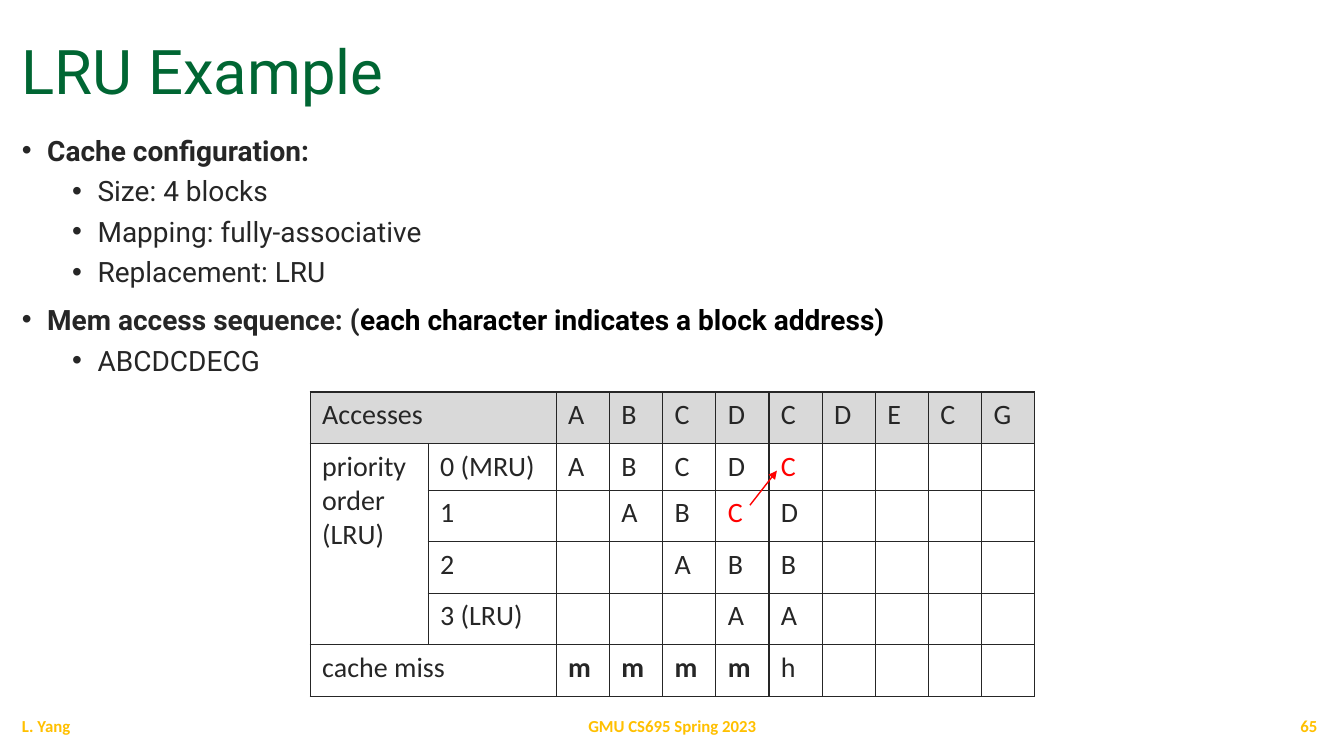
from dataclasses import dataclass

from lxml.etree import SubElement
from pptx import Presentation
from pptx.dml.color import RGBColor
from pptx.enum.shapes import MSO_CONNECTOR
from pptx.enum.text import MSO_ANCHOR, PP_ALIGN
from pptx.oxml import parse_xml
from pptx.oxml.ns import nsdecls, qn
from pptx.slide import Slide
from pptx.table import _Cell
from pptx.text.text import TextFrame, _Paragraph
from pptx.util import Cm, Pt

COLORS = {
    "title": "006633",
    "text": "262626",
    "emphasis": "000000",
    "footer": "FFC000",
    "header": "D9D9D9",
    "highlight": "FF0000",
}


@dataclass(frozen=True)
class Style:
    font: str
    size: float
    color: str
    bold: bool = False


@dataclass(frozen=True)
class Bullet:
    level: int
    runs: tuple[tuple[str, Style], ...]


@dataclass(frozen=True)
class Label:
    text: str
    left: float
    width: float
    alignment: PP_ALIGN


TITLE = Style("Roboto", 44, "title")
HEADING = Style("Roboto", 20, "text", True)
HEADING_NOTE = Style("Roboto", 20, "emphasis", True)
DETAIL = Style("Roboto", 20, "text")
FOOTER = Style("Calibri", 12, "footer", True)
CELL = Style("Calibri", 20, "text")
CELL_MISS = Style("Calibri", 20, "text", True)
CELL_HIT = Style("Calibri", 20, "highlight")

BULLETS = [
    Bullet(0, (("Cache configuration:", HEADING),)),
    Bullet(1, (("Size: 4 blocks", DETAIL),)),
    Bullet(1, (("Mapping: fully-associative", DETAIL),)),
    Bullet(1, (("Replacement: LRU", DETAIL),)),
    Bullet(0, (("Mem access sequence: (", HEADING),
               ("each character indicates a block address)", HEADING_NOTE))),
    Bullet(1, (("ABCDCDECG", DETAIL),)),
]
FOOTERS = [
    Label("L. Yang", 0.3, 7.62, PP_ALIGN.LEFT),
    Label("GMU CS695 Spring 2023", 11.23, 11.43, PP_ALIGN.CENTER),
    Label("65", 25.83, 7.62, PP_ALIGN.RIGHT),
]
ACCESS_ROWS = [
    ["Accesses", "", *"ABCDCDECG"],
    ["priority order\n(LRU)", "0 (MRU)", *"ABCDC"],
    ["", "1", "", *"ABCD"],
    ["", "2", "", "", *"ABB"],
    ["", "3 (LRU)", "", "", "", *"AA"],
    ["cache miss", "", *"mmmmh"],
]
COLUMN_WIDTHS = [2.97, 3.23] + [1.34] * 9
ROW_HEIGHTS = [1.3, 1.17] + [1.3] * 4
MERGES = [((0, 0), (0, 1)), ((1, 0), (4, 0)), ((5, 0), (5, 1))]
HIT_CELLS = {(1, 6), (2, 5)}


def add_run(paragraph: _Paragraph, text: str, style: Style) -> None:
    run = paragraph.add_run()
    run.text = text
    run.font.name = style.font
    run.font.size = Pt(style.size)
    run.font.bold = style.bold
    run.font.color.rgb = RGBColor.from_string(COLORS[style.color])


def next_paragraph(frame: TextFrame, index: int) -> _Paragraph:
    return frame.add_paragraph() if index else frame.paragraphs[0]


def add_box(slide: Slide, left: float, top: float, width: float, height: float,
            anchor: MSO_ANCHOR) -> TextFrame:
    frame = slide.shapes.add_textbox(Cm(left), Cm(top), Cm(width), Cm(height)).text_frame
    frame.word_wrap = True
    frame.vertical_anchor = anchor
    return frame


def add_title(slide: Slide) -> None:
    paragraph = add_box(slide, 0.3, 0.43, 33.15, 2.41, MSO_ANCHOR.BOTTOM).paragraphs[0]
    paragraph.line_spacing = 0.9
    add_run(paragraph, "LRU Example", TITLE)


def add_bullets(slide: Slide) -> None:
    frame = add_box(slide, 0.3, 3.23, 33.15, 14.3, MSO_ANCHOR.TOP)
    for index, bullet in enumerate(BULLETS):
        paragraph = next_paragraph(frame, index)
        paragraph.level = bullet.level
        if index:
            paragraph.space_before = Pt(5 if bullet.level else 10)
        properties = paragraph._p.get_or_add_pPr()
        properties.set("marL", str(Cm(0.64 + 1.27 * bullet.level)))
        properties.set("indent", str(-Cm(0.64)))
        SubElement(properties, qn("a:buFont")).set("typeface", "Arial")
        SubElement(properties, qn("a:buChar")).set("char", "•")
        for text, style in bullet.runs:
            add_run(paragraph, text, style)


def add_footer(slide: Slide, label: Label) -> None:
    frame = add_box(slide, label.left, 17.78, label.width, 1.02, MSO_ANCHOR.MIDDLE)
    frame.paragraphs[0].alignment = label.alignment
    add_run(frame.paragraphs[0], label.text, FOOTER)


def add_borders(cell: _Cell) -> None:
    properties = cell._tc.get_or_add_tcPr()
    for index, side in enumerate(("lnL", "lnR", "lnT", "lnB")):
        properties.insert(index, parse_xml(
            f'<a:{side} {nsdecls("a")} w="{Pt(1)}"><a:solidFill>'
            f'<a:srgbClr val="{COLORS["text"]}"/></a:solidFill></a:{side}>'))


def cell_style(row: int, column: int, text: str) -> Style:
    if (row, column) in HIT_CELLS:
        return CELL_HIT
    return CELL_MISS if text == "m" else CELL


def add_access_table(slide: Slide) -> None:
    table = slide.shapes.add_table(
        len(ROW_HEIGHTS), len(COLUMN_WIDTHS), Cm(7.82), Cm(9.88),
        Cm(sum(COLUMN_WIDTHS)), Cm(sum(ROW_HEIGHTS))).table
    table.first_row = False
    table.horz_banding = False
    for column, width in zip(table.columns, COLUMN_WIDTHS):
        column.width = Cm(width)
    for row, height in zip(table.rows, ROW_HEIGHTS):
        row.height = Cm(height)
    for row in range(len(ROW_HEIGHTS)):
        for column in range(len(COLUMN_WIDTHS)):
            cell = table.cell(row, column)
            cell.margin_left = cell.margin_right = Cm(0.3)
            cell.margin_top = cell.margin_bottom = Cm(0.15)
            if row == 0:
                cell.fill.solid()
                cell.fill.fore_color.rgb = RGBColor.from_string(COLORS["header"])
            else:
                cell.fill.background()
            add_borders(cell)
            text = ACCESS_ROWS[row][column] if column < len(ACCESS_ROWS[row]) else ""
            if text:
                for index, line in enumerate(text.split("\n")):
                    add_run(next_paragraph(cell.text_frame, index), line,
                            cell_style(row, column, text))
    for first, last in MERGES:
        table.cell(*first).merge(table.cell(*last))


def add_hit_arrow(slide: Slide) -> None:
    arrow = slide.shapes.add_connector(
        MSO_CONNECTOR.STRAIGHT, Cm(18.9), Cm(12.73), Cm(19.58), Cm(11.86))
    arrow.line.color.rgb = RGBColor.from_string(COLORS["highlight"])
    arrow.line.width = Pt(1)
    SubElement(arrow.line._get_or_add_ln(), qn("a:tailEnd")).set("type", "triangle")
    SubElement(arrow._element.spPr, qn("a:effectLst"))


def main() -> None:
    presentation = Presentation()
    presentation.slide_width = Cm(33.87)
    presentation.slide_height = Cm(19.05)
    slide = presentation.slides.add_slide(presentation.slide_layouts[6])
    add_title(slide)
    add_bullets(slide)
    add_access_table(slide)
    add_hit_arrow(slide)
    for label in FOOTERS:
        add_footer(slide, label)
    presentation.save("out.pptx")


if __name__ == "__main__":
    main()
